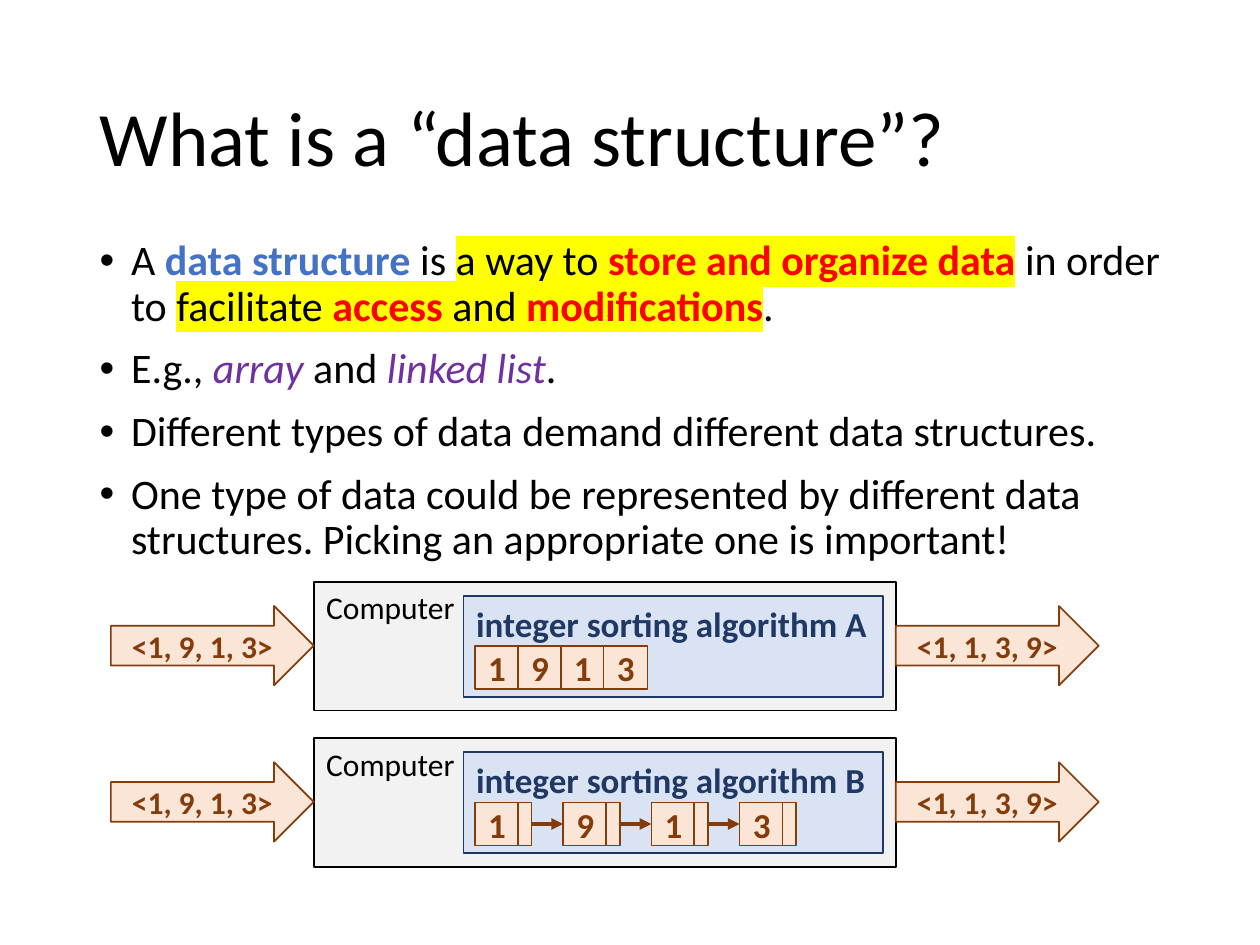
from lxml import etree
from pptx import Presentation
from pptx.dml.color import RGBColor
from pptx.enum.shapes import MSO_CONNECTOR, MSO_SHAPE
from pptx.enum.text import MSO_ANCHOR, MSO_AUTO_SIZE, PP_ALIGN
from pptx.oxml.ns import qn
from pptx.util import Inches, Pt

RECT, ARROW = MSO_SHAPE.RECTANGLE, MSO_SHAPE.RIGHT_ARROW
STRAIGHT = MSO_CONNECTOR.STRAIGHT
TOP, MIDDLE = MSO_ANCHOR.TOP, MSO_ANCHOR.MIDDLE
LEFT, CENTER = PP_ALIGN.LEFT, PP_ALIGN.CENTER
NO_FIT = MSO_AUTO_SIZE.NONE

FONT = "Calibri"
BLACK = RGBColor(0x00, 0x00, 0x00)
BLUE = RGBColor(0x44, 0x72, 0xC4)
RED = RGBColor(0xFF, 0x00, 0x00)
PURPLE = RGBColor(0x70, 0x30, 0xA0)
YELLOW = RGBColor(0xFF, 0xFF, 0x00)
GRAY = RGBColor(0xF2, 0xF2, 0xF2)
PALE_BLUE = RGBColor(0xDA, 0xE3, 0xF3)
NAVY = RGBColor(0x20, 0x38, 0x64)
PEACH = RGBColor(0xFB, 0xE5, 0xD6)
BROWN = RGBColor(0x84, 0x3C, 0x0B)

MARKED = {"highlight": YELLOW}
KEY = {"color": RED, "bold": True, "highlight": YELLOW}
TERM = {"color": PURPLE, "italic": True}
BULLETS = [
    [("A ", {}), ("data structure", {"color": BLUE, "bold": True}), (" is ", {}),
     ("a way to ", MARKED), ("store and organize data", KEY), (" in order to ", {}),
     ("facilitate ", MARKED), ("access", KEY), (" and ", MARKED),
     ("modifications", KEY), (".", {})],
    [("E.g., ", {}), ("array", TERM), (" and ", {}), ("linked list", TERM), (".", {})],
    [("Different types of data demand different data structures.", {})],
    [("One type of data could be represented by different data structures. "
      "Picking an appropriate one is important!", {})],
]
INPUT, OUTPUT = "<1, 9, 1, 3>", "<1, 1, 3, 9>"
VALUES = ["1", "9", "1", "3"]
CELL_W, CELL_H, CELL_PITCH = 0.35, 0.34, 0.34
LINK_W, NODE_PITCH = 0.11, 0.7


def add_text(paragraph, text, size=24, color=BLACK, bold=False, italic=False, highlight=None):
    """Append one formatted run to a paragraph."""
    run = paragraph.add_run()
    run.text = text
    font = run.font
    font.name, font.size, font.bold, font.italic = FONT, Pt(size), bold, italic
    font.color.rgb = color
    if highlight is not None:
        mark = etree.Element(qn("a:highlight"))
        etree.SubElement(mark, qn("a:srgbClr")).set("val", str(highlight))
        font.fill._xPr.find(qn("a:solidFill")).addnext(mark)


def place(shape, left, top, width, height):
    """Move a placeholder to a box given in inches."""
    shape.left, shape.top = Inches(left), Inches(top)
    shape.width, shape.height = Inches(width), Inches(height)


def add_box(shapes, kind, box, fill, line, text="", align=CENTER, anchor=MIDDLE, **style):
    """Draw an outlined shape with optional text."""
    shape = shapes.add_shape(kind, *map(Inches, box))
    shape.shadow.inherit = False
    shape.fill.solid()
    shape.fill.fore_color.rgb = fill
    shape.line.color.rgb = line
    shape.line.width = Pt(1)
    if text:
        frame = shape.text_frame
        frame.word_wrap, frame.vertical_anchor = True, anchor
        frame.paragraphs[0].alignment = align
        add_text(frame.paragraphs[0], text, **style)


def add_link(shapes, start, end, y):
    """Draw a horizontal pointer between two list nodes."""
    link = shapes.add_connector(STRAIGHT, Inches(start), Inches(y), Inches(end), Inches(y))
    link.line.color.rgb = BROWN
    link.line.width = Pt(2.25)
    etree.SubElement(link.line._get_or_add_ln(), qn("a:tailEnd")).set("type", "triangle")
    etree.SubElement(link._element.spPr, qn("a:effectLst"))


def add_cell(shapes, left, top, value):
    """Draw one value cell."""
    add_box(shapes, RECT, (left, top, CELL_W, CELL_H), PEACH, BROWN, value,
            size=20, color=BROWN, bold=True)


def add_array(shapes, left, top):
    """Draw the values as adjacent cells."""
    for i, value in enumerate(VALUES):
        add_cell(shapes, left + i * CELL_PITCH, top, value)


def add_linked_list(shapes, left, top):
    """Draw the values as nodes joined by pointers."""
    for i, value in enumerate(VALUES):
        node = left + i * NODE_PITCH
        link_left = node + CELL_PITCH
        add_cell(shapes, node, top, value)
        add_box(shapes, RECT, (link_left, top, LINK_W, CELL_H), PEACH, BROWN)
        if i < len(VALUES) - 1:
            add_link(shapes, link_left + LINK_W, node + NODE_PITCH, top + CELL_H / 2)


def add_computer(slide, left, top, algorithm, add_storage):
    """Draw a computer with its input, algorithm, storage and output."""
    shapes = slide.shapes.add_group_shape().shapes
    width, arrow_w = 4.62, 1.61
    add_box(shapes, RECT, (left, top, width, 1.02), GRAY, BLACK, "Computer",
            align=LEFT, anchor=TOP, size=18)
    for arrow_left, sequence in ((left - arrow_w, INPUT), (left + width, OUTPUT)):
        add_box(shapes, ARROW, (arrow_left, top + 0.19, arrow_w, 0.63), PEACH, BROWN,
                sequence, size=18, color=BROWN, bold=True)
    add_box(shapes, RECT, (left + 1.19, top + 0.11, 3.33, 0.8), PALE_BLUE, NAVY,
            algorithm, align=LEFT, anchor=TOP, size=20, color=NAVY, bold=True)
    add_storage(shapes, left + 1.28, top + 0.51)


def add_title(title, box):
    """Fill the title placeholder."""
    place(title, *box)
    frame = title.text_frame
    frame.auto_size, frame.vertical_anchor = NO_FIT, MIDDLE
    heading = frame.paragraphs[0]
    heading.alignment, heading.line_spacing = LEFT, 0.9
    add_text(heading, "What is a “data structure”?", size=44)


def add_bullets(body, box):
    """Fill the body placeholder with the bulleted list."""
    place(body, *box)
    frame = body.text_frame
    frame.auto_size, frame.vertical_anchor = NO_FIT, TOP
    for i, runs in enumerate(BULLETS):
        bullet = frame.add_paragraph() if i else frame.paragraphs[0]
        bullet.line_spacing, bullet.space_before = 0.9, Pt(10)
        props = bullet._p.get_or_add_pPr()
        props.set("marL", str(Inches(0.25)))
        props.set("indent", str(Inches(-0.25)))
        etree.SubElement(props, qn("a:buFont")).set("typeface", "Arial")
        etree.SubElement(props, qn("a:buChar")).set("char", "•")
        for text, style in runs:
            add_text(bullet, text, **style)


def build():
    """Build and save the slide."""
    deck = Presentation()
    deck.slide_width, deck.slide_height = Inches(10), Inches(7.5)
    slide = deck.slides.add_slide(deck.slide_layouts[1])
    add_title(slide.shapes.title, (0.69, 0.4, 8.62, 1.45))
    add_bullets(slide.placeholders[1], (0.69, 1.85, 8.62, 5.25))
    add_computer(slide, 2.49, 4.62, "integer sorting algorithm A", add_array)
    add_computer(slide, 2.49, 5.86, "integer sorting algorithm B", add_linked_list)
    deck.save("out.pptx")


build()
